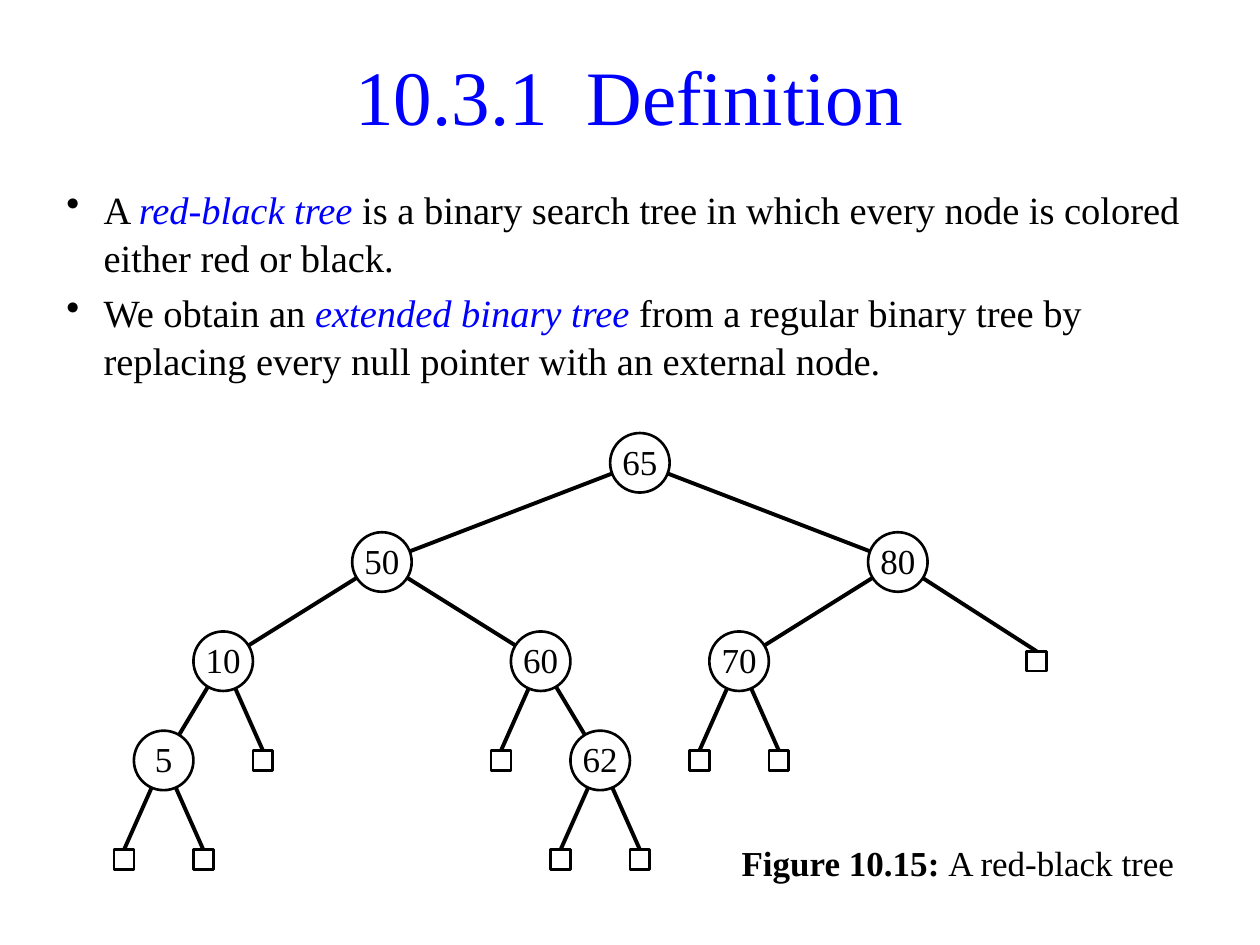
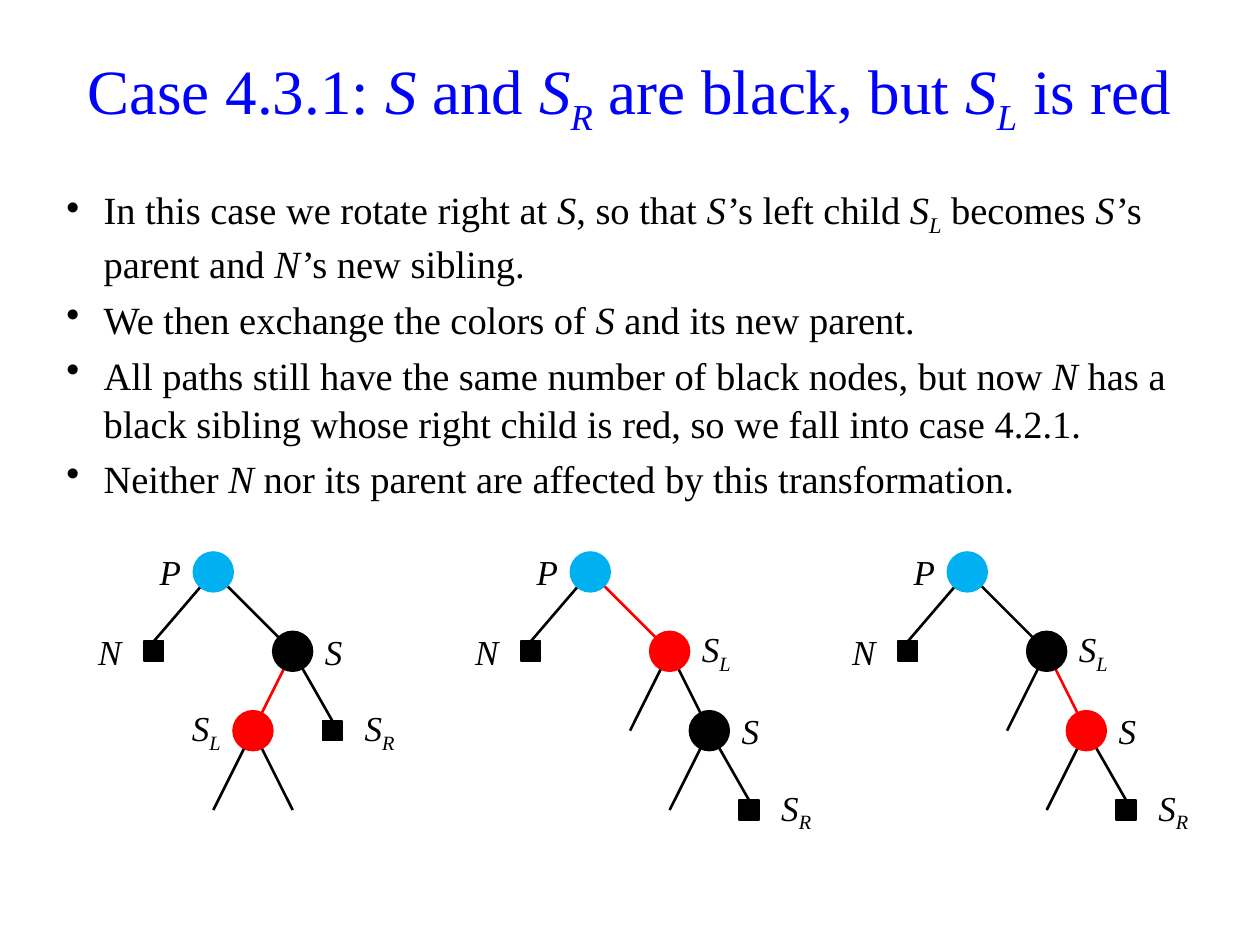
from lxml.etree import SubElement
from pptx import Presentation
from pptx.dml.color import RGBColor
from pptx.enum.shapes import MSO_CONNECTOR, MSO_SHAPE
from pptx.enum.text import MSO_ANCHOR, PP_ALIGN
from pptx.oxml.ns import qn
from pptx.util import Cm, Pt

FONT = "Times New Roman"
BLACK, WHITE, BLUE, RED, SKY = "000000", "FFFFFF", "0000FF", "FF0000", "00B0F0"

STYLES = {
    "plain": {},
    "italic": {"italic": True},
    "wide": {"italic": True, "spacing": 100},
    "sub": {"italic": True, "baseline": -25000},
    "term": {"italic": True, "colour": BLUE},
    "bold": {"bold": True},
}

DEFINITION_TITLE = ["10.3.1  Definition"]
DEFINITION_POINTS = [
    ["A ", ("red-black tree", "term"),
     " is a binary search tree in which every node is colored either red or black."],
    ["We obtain an ", ("extended binary tree", "term"),
     " from a regular binary tree by replacing every null pointer with an external node."],
]
CAPTION = [("Figure 10.15: ", "bold"), "A red-black tree"]

S, N, P = [("S", "italic")], [("N", "italic")], [("P", "italic")]
S_LEFT = S + [("L", "sub")]
S_RIGHT = S + [("R", "sub")]
CASE_TITLE = ["Case 4.3.1: ", *S, " and ", *S_RIGHT, " are black, but ", *S_LEFT, " is red"]
CASE_POINTS = [
    ["In this case we rotate right at ", *S, ", so that ", ("S", "wide"), "’s left child ",
     *S_LEFT, " becomes ", ("S", "wide"), "’s parent and ", ("N", "wide"), "’s new sibling."],
    ["We then exchange the colors of ", *S, " and its new parent."],
    ["All paths still have the same number of black nodes, but now ", *N,
     " has a black sibling whose right child is red, so we fall into case 4.2.1."],
    ["Neither ", *N, " nor its parent are affected by this transformation."],
]

# key, x, left child, right child; a bare number is an external node
TREE = (
    "65", 12.9,
    ("50", 7.7,
     ("10", 4.5, ("5", 3.3, 2.5, 4.1), 5.3),
     ("60", 10.9, 10.1, ("62", 12.1, 11.3, 12.9))),
    ("80", 18.1, ("70", 14.9, 14.1, 15.7), 20.9),
)
TREE_TOP, TREE_STEP = 9.33, 2

TOP_NODES = [
    ("circle", 0, 0, None, SKY, P, "left"),
    ("square", -1.2, 1, 0, BLACK, N, "left"),
]


def rotated_nodes(upper_colour, lower_colour):
    return TOP_NODES + [
        ("circle", 1.6, 1, 0, upper_colour, S_LEFT, "right"),
        ("stub", 0.8, 2, 2, BLACK, None, None),
        ("circle", 2.4, 2, 2, lower_colour, S, "right"),
        ("stub", 1.6, 3, 4, BLACK, None, None),
        ("square", 3.2, 3, 4, BLACK, S_RIGHT, "right"),
    ]


STAGES = [
    TOP_NODES + [
        ("circle", 1.6, 1, 0, BLACK, S, "right"),
        ("circle", 0.8, 2, 2, RED, S_LEFT, "left"),
        ("square", 2.4, 2, 2, BLACK, S_RIGHT, "right"),
        ("stub", 0, 3, 3, BLACK, None, None),
        ("stub", 1.6, 3, 3, BLACK, None, None),
    ],
    rotated_nodes(RED, BLACK),
    rotated_nodes(BLACK, RED),
]
STAGE_LEFT, STAGE_GAP, STAGE_TOP, STAGE_STEP = 4.3, 7.6, 11.53, 1.6
KINDS = {"circle": (MSO_SHAPE.OVAL, 0.8), "square": (MSO_SHAPE.RECTANGLE, 0.4)}


def colour(value):
    return RGBColor.from_string(value)


def add_runs(para, parts, size, base_colour=BLACK):
    for part in parts:
        text, style_name = (part, "plain") if isinstance(part, str) else part
        style = STYLES[style_name]
        span = para.add_run()
        span.text = text
        span.font.name = FONT
        span.font.size = Pt(size)
        span.font.bold = style.get("bold", False)
        span.font.italic = style.get("italic", False)
        span.font.color.rgb = colour(style.get("colour", base_colour))
        properties = span._r.get_or_add_rPr()
        for key, attribute in (("spacing", "spc"), ("baseline", "baseline")):
            if key in style:
                properties.set(attribute, str(style[key]))


def add_text(page, place, paragraphs, size, base_colour=BLACK, align=PP_ALIGN.LEFT,
             anchor=MSO_ANCHOR.TOP, bullets=False):
    box = page.shapes.add_textbox(*(Cm(value) for value in place))
    frame = box.text_frame
    frame.word_wrap = True
    frame.vertical_anchor = anchor
    for index, parts in enumerate(paragraphs):
        para = frame.add_paragraph() if index else frame.paragraphs[0]
        para.alignment = align
        if bullets:
            properties = para._p.get_or_add_pPr()
            properties.set("marL", str(Cm(0.75)))
            properties.set("indent", str(-Cm(0.75)))
            SubElement(properties, qn("a:buChar")).set("char", "•")
            para.line_spacing = 1.04
            if index:
                para.space_before = Pt(4.4)
        add_runs(para, parts, size, base_colour)


def add_page(deck, title, title_size, points, body_width, body_height):
    page = deck.slides.add_slide(deck.slide_layouts[6])
    add_text(page, (1.09, 0.71, 23.2, 2.39), [title], title_size, BLUE,
             PP_ALIGN.CENTER, MSO_ANCHOR.MIDDLE)
    add_text(page, (1.09, 3.58, body_width, body_height), points, 22, bullets=True)
    return page


def add_edge(page, start, end, line_colour, width):
    edge = page.shapes.add_connector(
        MSO_CONNECTOR.STRAIGHT, *(Cm(value) for value in (*start, *end)))
    edge.line.color.rgb = colour(line_colour)
    edge.line.width = Pt(width)
    SubElement(edge._element.spPr, qn("a:effectLst"))


def add_node(page, preset, centre, size, fill, line, width):
    x, y = centre
    node = page.shapes.add_shape(
        preset, Cm(x - size / 2), Cm(y - size / 2), Cm(size), Cm(size))
    node.shadow.inherit = False
    node.fill.solid()
    node.fill.fore_color.rgb = colour(fill)
    node.line.color.rgb = colour(line)
    node.line.width = Pt(width)
    return node


def add_tree(page, tree, depth=0):
    y = TREE_TOP + depth * TREE_STEP
    if not isinstance(tree, tuple):
        add_node(page, MSO_SHAPE.RECTANGLE, (tree, y), 0.4, WHITE, BLACK, 1.5)
        return
    key, x, *children = tree
    for child in children:
        internal = isinstance(child, tuple)
        end = (child[1], y + TREE_STEP) if internal else (child, y + TREE_STEP - 0.2)
        add_edge(page, (x, y), end, BLACK, 2.25)
        add_tree(page, child, depth + 1)
    node = add_node(page, MSO_SHAPE.OVAL, (x, y), 1.2, WHITE, BLACK, 1.5)
    frame = node.text_frame
    frame.margin_left = frame.margin_right = frame.margin_top = 0
    frame.margin_bottom = Cm(0.03)
    frame.vertical_anchor = MSO_ANCHOR.BOTTOM
    frame.paragraphs[0].alignment = PP_ALIGN.CENTER
    add_runs(frame.paragraphs[0], [key], 20)


def add_stage(page, nodes, left):
    centres = [(left + dx, STAGE_TOP + level * STAGE_STEP) for _, dx, level, *_ in nodes]
    for (kind, _, _, parent, shade, _, _), (x, y) in zip(nodes, centres):
        if parent is not None:
            end = (x, y - 0.2) if kind == "square" else (x, y)
            add_edge(page, centres[parent], end, shade, 1.5)
    for (kind, _, _, _, shade, label, side), (x, y) in zip(nodes, centres):
        if kind == "stub":
            continue
        preset, size = KINDS[kind]
        add_node(page, preset, (x, y), size, shade, shade, 1)
        label_left = x - 1.6 if side == "left" else x + 0.4
        align = PP_ALIGN.RIGHT if side == "left" else PP_ALIGN.LEFT
        add_text(page, (label_left, y - 0.8, 1.2, 1.6), [label], 20,
                 align=align, anchor=MSO_ANCHOR.MIDDLE)


def main():
    deck = Presentation()
    deck.slide_width, deck.slide_height = Cm(25.4), Cm(19.05)

    page = add_page(deck, DEFINITION_TITLE, 44, DEFINITION_POINTS, 23.2, 4.4)
    add_tree(page, TREE)
    add_text(page, (14.7, 16.84, 9.6, 1.2), [CAPTION], 20)

    page = add_page(deck, CASE_TITLE, 36, CASE_POINTS, 23.6, 6.4)
    for index, nodes in enumerate(STAGES):
        add_stage(page, nodes, STAGE_LEFT + index * STAGE_GAP)

    deck.save("out.pptx")


if __name__ == "__main__":
    main()
